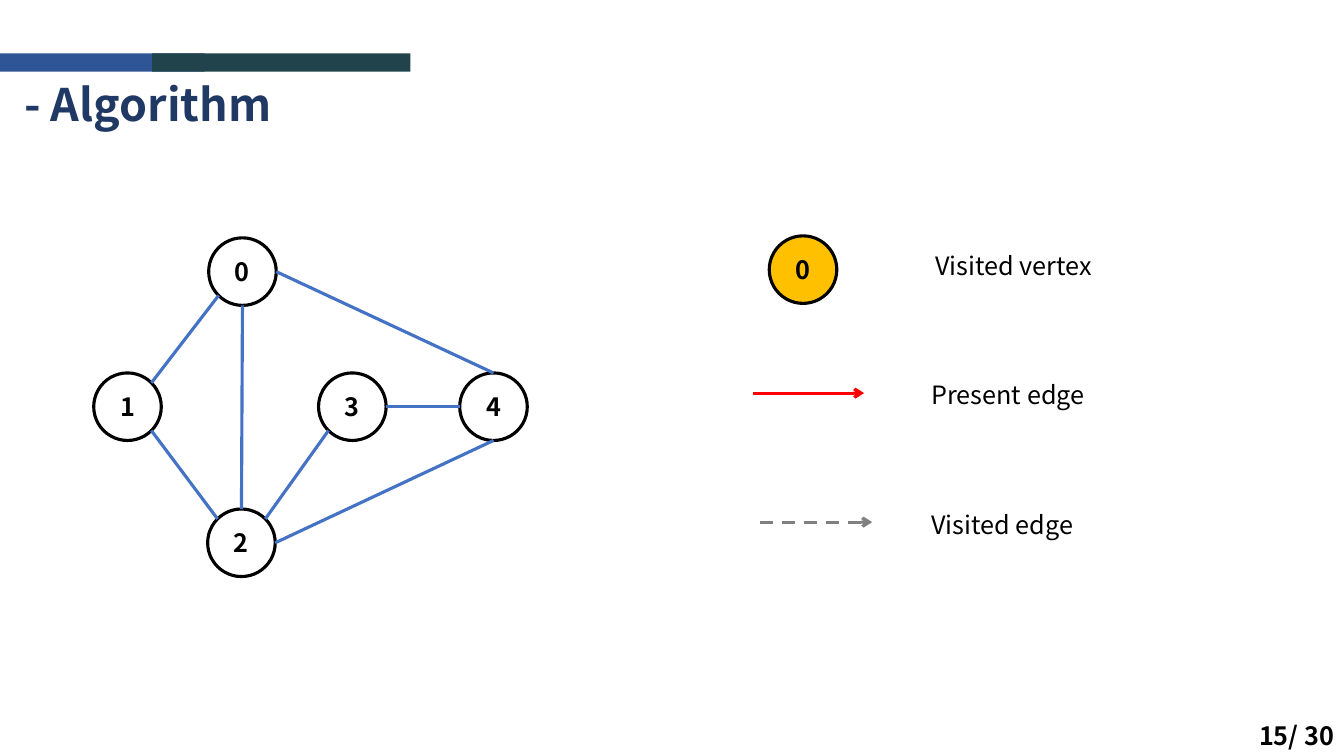
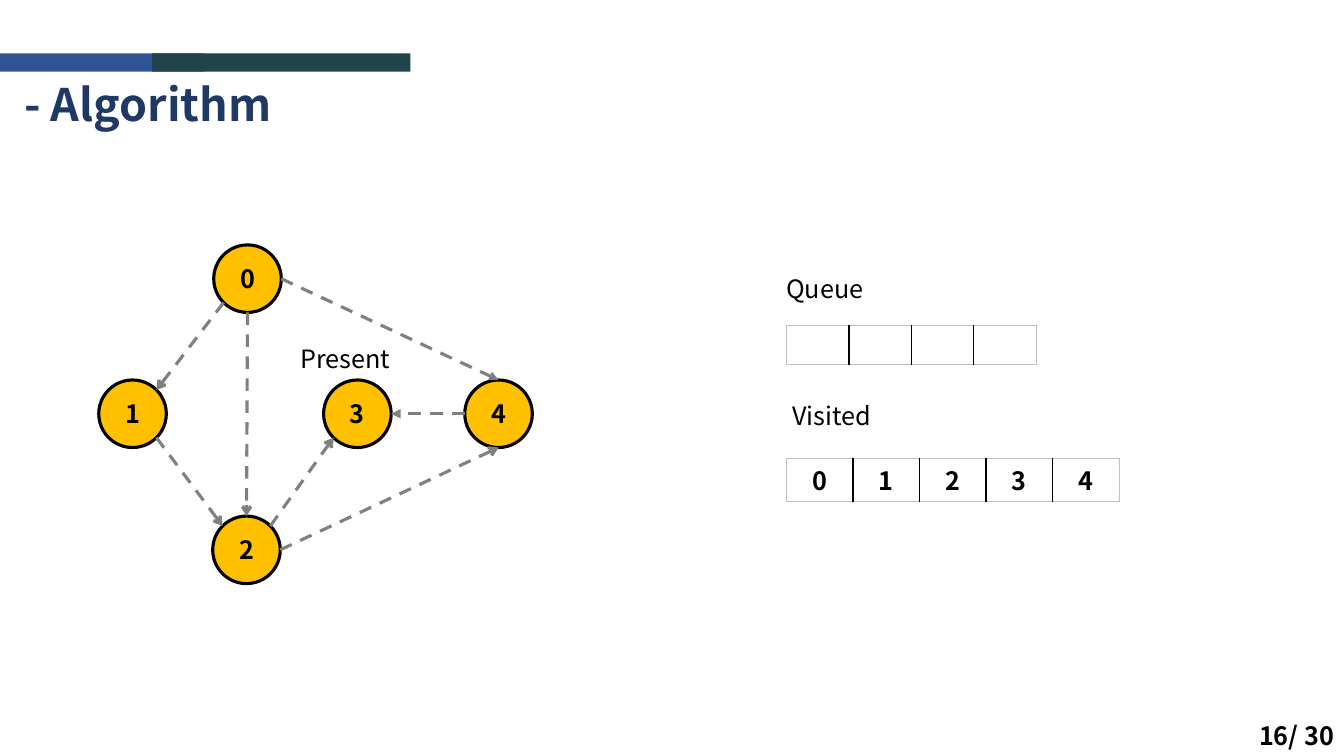
from math import hypot

from lxml import etree
from pptx import Presentation
from pptx import util as u
from pptx.dml.color import RGBColor
from pptx.enum import dml, shapes, text
from pptx.oxml import ns

FONT = "Noto Sans CJK KR"
NAVY = RGBColor(0x20, 0x38, 0x64)
BAND = RGBColor(0x2F, 0x55, 0x97)
TEAL = RGBColor(0x21, 0x43, 0x4B)
BLUE = RGBColor(0x44, 0x72, 0xC4)
GOLD = RGBColor(0xFF, 0xC0, 0x00)
RED = RGBColor(0xFF, 0x00, 0x00)
GRAY = RGBColor(0x80, 0x80, 0x80)
PALE = RGBColor(0xBF, 0xBF, 0xBF)
BLACK = RGBColor(0x00, 0x00, 0x00)
WHITE = RGBColor(0xFF, 0xFF, 0xFF)

LEFT, RIGHT = text.PP_ALIGN.LEFT, text.PP_ALIGN.CENTER
MID = text.PP_ALIGN.CENTER
PAGES = 30
SIZE = 67
NODES = [(207, 236), (93, 370), (206, 505), (316, 370), (456, 370)]
SIDES = {
    "N": (0, -1), "NE": (1, -1), "E": (1, 0), "SE": (1, 1),
    "S": (0, 1), "SW": (-1, 1), "W": (-1, 0), "NW": (-1, -1),
}
EDGES = [
    (0, "SW", 1, "NE", "arrow"),
    (0, "S", 2, "N", "arrow"),
    (0, "E", 4, "N", "triangle"),
    (1, "SE", 2, "NW", "arrow"),
    (2, "NE", 3, "SW", "arrow"),
    (2, "E", 4, "S", "arrow"),
    (4, "W", 3, "E", "triangle"),
]


def px(*nums):
    return [u.Emu(round(n * 9144)) for n in nums]


def style(frame, words, size=18, color=BLACK, bold=False, align=LEFT):
    frame.text = words
    para = frame.paragraphs[0]
    para.alignment = align
    font = para.runs[0].font
    font.name, font.size, font.bold = FONT, u.Pt(size), bold
    font.color.rgb = color


def place(frame):
    frame.word_wrap = True
    frame.auto_size = text.MSO_AUTO_SIZE.NONE
    frame.vertical_anchor = text.MSO_ANCHOR.MIDDLE
    frame.margin_left, frame.margin_right = px(10, 0)


def label(slide, words, x, y, wide, bold=False):
    frame = slide.shapes.add_textbox(*px(x, y, wide, 40)).text_frame
    place(frame)
    style(frame, words, bold=bold)


def solid(slide, kind, box, color):
    shape = slide.shapes.add_shape(kind, *px(*box))
    shape.shadow.inherit = False
    shape.fill.solid()
    shape.fill.fore_color.rgb = color
    shape.line.fill.background()
    return shape


def node(slide, name, x, y, color):
    shape = solid(slide, shapes.MSO_SHAPE.OVAL, (x, y, SIZE, SIZE), color)
    shape.line.color.rgb = BLACK
    shape.line.width = u.Pt(2.25)
    frame = shape.text_frame
    frame.vertical_anchor = text.MSO_ANCHOR.MIDDLE
    style(frame, name, bold=True, align=MID)


def edge(slide, start, end, color, head=None, dash=False):
    link = slide.shapes.add_connector(
        shapes.MSO_CONNECTOR.STRAIGHT, *px(*start, *end))
    link.line.color.rgb = color
    link.line.width = u.Pt(2.25)
    if dash:
        link.line.dash_style = dml.MSO_LINE.DASH
    props = link._element.spPr
    if head:
        line = props.find(ns.qn("a:ln"))
        etree.SubElement(line, ns.qn("a:tailEnd"), type=head)
    etree.SubElement(props, ns.qn("a:effectLst"))


def port(spot, side):
    dx, dy = SIDES[side]
    reach = SIZE / 2 / hypot(dx, dy)
    return spot[0] + SIZE / 2 + dx * reach, spot[1] + SIZE / 2 + dy * reach


def graph(slide, shift, fill, color, seen):
    spots = [(x + shift[0], y + shift[1]) for x, y in NODES]
    for name, spot in enumerate(spots):
        node(slide, str(name), *spot, fill)
    for a, out, b, into, head in EDGES:
        edge(slide, port(spots[a], out), port(spots[b], into), color,
             head if seen else None, seen)


def border(cell, side, color, width):
    props = cell._tc.get_or_add_tcPr()
    line = etree.SubElement(props, ns.qn("a:ln" + side), w=str(u.Pt(width)))
    fill = etree.SubElement(line, ns.qn("a:solidFill"))
    etree.SubElement(fill, ns.qn("a:srgbClr"), val=str(color))


def cells(slide, items, x, y, wide):
    count = len(items)
    table = slide.shapes.add_table(
        1, count, *px(x, y, wide * count, 39)).table
    table.first_row = table.horz_banding = False
    for col, item in enumerate(items):
        table.columns[col].width = px(wide)[0]
        cell = table.cell(0, col)
        cell.margin_left, cell.margin_right = px(7, 7)
        cell.margin_top, cell.margin_bottom = px(3, 3)
        for side, outer in (("L", col == 0), ("R", col == count - 1),
                            ("T", True), ("B", True)):
            border(cell, side, *((PALE, 0.75) if outer else (BLACK, 1)))
        cell.fill.solid()
        cell.fill.fore_color.rgb = WHITE
        if item:
            style(cell.text_frame, item, bold=True, align=MID)


def start(deck, page):
    slide = deck.slides.add_slide(deck.slide_layouts[5])
    title = slide.shapes.title
    title.left, title.top, title.width, title.height = px(14, 71, 559, 64)
    place(title.text_frame)
    style(title.text_frame, "- Algorithm", 32, NAVY, True)
    rect = shapes.MSO_SHAPE.RECTANGLE
    solid(slide, rect, (0, 53, 203, 18), BAND)
    solid(slide, rect, (151, 53, 256, 18), TEAL)
    label(slide, f"{page}/ {PAGES}", 1239, 710, 94, True)
    return slide


def legend(deck):
    slide = start(deck, 15)
    graph(slide, (0, 0), WHITE, BLUE, False)
    node(slide, "0", 763, 234, GOLD)
    edge(slide, (747, 390), (857, 390), RED, "arrow")
    edge(slide, (754, 518), (865, 518), GRAY, "arrow", True)
    label(slide, "Visited vertex", 918, 243, 252)
    label(slide, "Present edge", 914, 371, 252)
    label(slide, "Visited edge", 914, 500, 252)


def result(deck):
    slide = start(deck, 16)
    graph(slide, (5, 7), GOLD, GRAY, True)
    label(slide, "Present", 288, 336, 121)
    label(slide, "Queue", 770, 266, 278)
    cells(slide, [""] * 4, 780, 323, 62)
    label(slide, "Visited", 776, 392, 278)
    cells(slide, list("01234"), 780, 455, 66)


def main():
    deck = Presentation()
    deck.slide_width, deck.slide_height = px(1333, 750)
    legend(deck)
    result(deck)
    deck.save("out.pptx")


if __name__ == "__main__":
    main()
